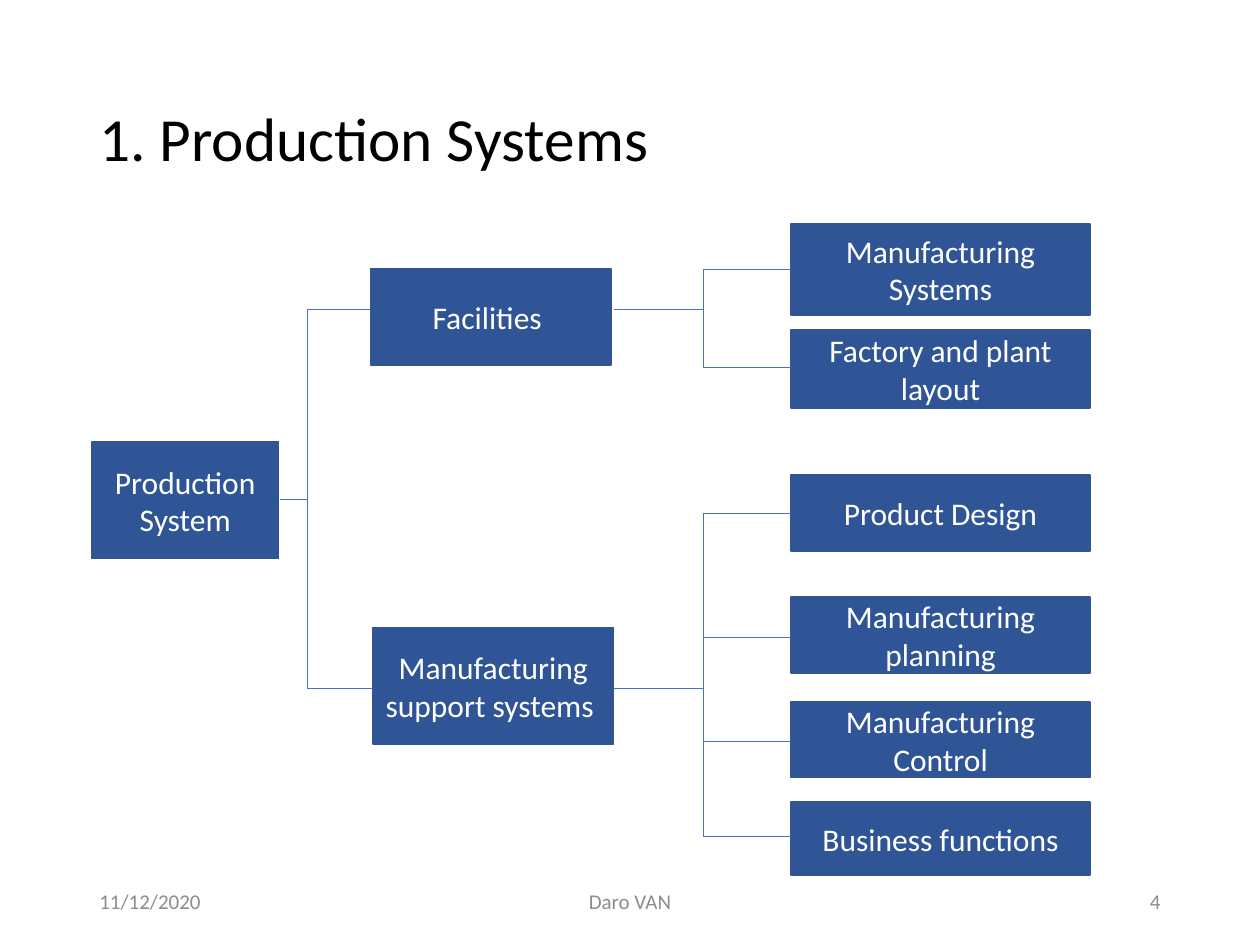
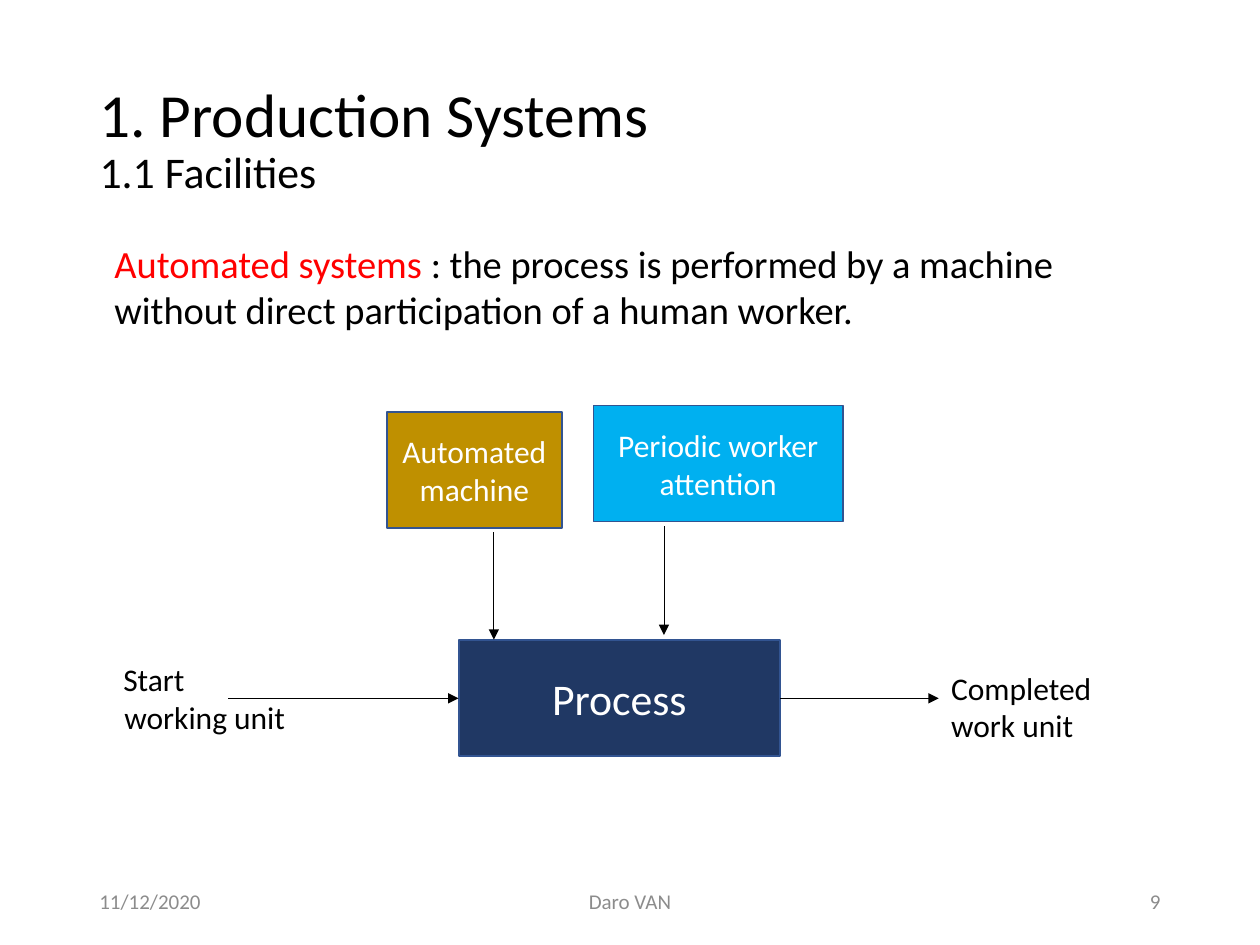
from lxml import etree
from pptx import Presentation
from pptx import util as u
from pptx.dml.color import RGBColor
from pptx.enum import shapes, text
from pptx.oxml.ns import qn

BLACK = RGBColor(0, 0, 0)
WHITE = RGBColor(255, 255, 255)
GREY = RGBColor(0x8C, 0x8C, 0x8C)
RED = RGBColor(255, 0, 0)
BLUE = RGBColor(0x2F, 0x55, 0x97)
NAVY = RGBColor(0x20, 0x38, 0x64)
GOLD = RGBColor(0xBF, 0x90, 0)
SKY = RGBColor(0, 0xB0, 0xF0)
EDGE = RGBColor(0x32, 0x54, 0x91)
BRANCH = RGBColor(0x44, 0x72, 0xC4)
LEFT, CENTER, RIGHT = (text.PP_ALIGN.LEFT, text.PP_ALIGN.CENTER, text.PP_ALIGN.RIGHT)
TOP, MIDDLE = text.MSO_ANCHOR.TOP, text.MSO_ANCHOR.MIDDLE

prs = Presentation()
prs.slide_width, prs.slide_height = u.Inches(10), u.Inches(7.5)
COL, ROW = prs.slide_width / 100, prs.slide_height / 100


def put(s, at, paras, sp=None, fill=None, size=18, color=BLACK,
        align=LEFT, anchor=TOP, wrap=True, spacing=None):
    x, y, w, h = int(at[0] * COL), int(at[1] * ROW), int(at[2] * COL), int(at[3] * ROW)
    if fill is not None:
        sp = s.shapes.add_shape(shapes.MSO_SHAPE.RECTANGLE, x, y, w, h)
        sp.shadow.inherit = False
        sp.fill.solid()
        sp.fill.fore_color.rgb = fill
        sp.line.color.rgb = EDGE
        sp.line.width = u.Pt(1)
        color, align, anchor = WHITE, CENTER, MIDDLE
    elif sp is None:
        sp = s.shapes.add_textbox(x, y, w, h)
    sp.left, sp.top, sp.width, sp.height = x, y, w, h
    tf = sp.text_frame
    tf.auto_size = text.MSO_AUTO_SIZE.NONE
    tf.word_wrap = wrap
    tf.vertical_anchor = anchor
    for i, runs in enumerate([paras] if isinstance(paras, str) else paras):
        p = tf.add_paragraph() if i else tf.paragraphs[0]
        p.alignment = align
        p.line_spacing = spacing
        for words, *style in [(runs,)] if isinstance(runs, str) else runs:
            r = p.add_run()
            r.text = words
            r.font.name = "Calibri"
            r.font.size = u.Pt(style[0] if style else size)
            r.font.color.rgb = style[1] if style[1:] else color
    return tf


def link(s, x1, y1, x2, y2, color=BRANCH, arrow=False):
    cx = s.shapes.add_connector(shapes.MSO_CONNECTOR.STRAIGHT, int(x1 * COL),
                                int(y1 * ROW), int(x2 * COL), int(y2 * ROW))
    cx.line.color.rgb = color
    cx.line.width = u.Pt(0.5)
    if arrow:
        etree.SubElement(cx.line._get_or_add_ln(), qn("a:tailEnd"), type="triangle")
    etree.SubElement(cx._element.spPr, qn("a:effectLst"))


slides = []
for number, title in (
    ("4", ["1. Production Systems"]),
    ("9", ["1. Production Systems", [("1.1 Facilities", 25)]]),
):
    s = prs.slides.add_slide(prs.slide_layouts[5])
    put(s, (6.9, 5.3, 86.2, 19.3), title, sp=s.shapes.title, size=35,
        anchor=MIDDLE, spacing=0.9)
    for x, w, words, align in ((6.9, 22.5, "11/12/2020", LEFT),
                               (33.1, 33.8, "Daro VAN", CENTER),
                               (70.6, 22.5, number, RIGHT)):
        put(s, (x, 92.7, w, 5.3), words, size=12, color=GREY, align=align, anchor=MIDDLE)
    slides.append(s)
tree, process = slides

put(tree, (7.3, 46.8, 14.8, 12.3), "Production System", fill=BLUE)
TRUNK, FORK, LEAF = 24.4, 55.8, 62.8
link(tree, 22.2, 52.9, TRUNK, 52.9)
link(tree, TRUNK, 32.7, TRUNK, 72.9)

branches = (
    ("Facilities ", 29.4, 28.5, 10.1, 32.7, (
        ("Manufacturing Systems", 23.7, 9.6, 28.5),
        ("Factory and plant layout", 34.9, 8.3, 38.9))),
    ("Manufacturing support systems ", 29.6, 66.4, 12.3, 72.9, (
        ("Product Design", 50.3, 8, 54.3),
        ("Manufacturing planning", 63.2, 8, 67.5),
        ("Manufacturing Control", 74.3, 8, 78.5),
        ("Business functions", 84.9, 7.7, 88.5))),
)
for name, x, y, h, joint, leaves in branches:
    put(tree, (x, y, 19.1, h), name, fill=BLUE)
    link(tree, TRUNK, joint, x, joint)
    link(tree, 48.7, joint, FORK, joint)
    link(tree, FORK, leaves[0][-1], FORK, leaves[-1][-1])
    for leaf, top, height, level in leaves:
        put(tree, (LEAF, top, 23.7, height), leaf, fill=BLUE)
        link(tree, FORK, level, LEAF, level)

put(process, (8.1, 24.7, 85, 11.2), [[
    ("Automated systems ", 22, RED),
    (": the process is performed by a machine without direct participation of a human worker.",),
]], size=22)
for words, x, y, w, fill, size in (
    ("Process", 36.4, 67.7, 25.5, NAVY, 25),
    ("Automated machine", 30.7, 43.6, 13.9, GOLD, 18),
    ("Periodic worker attention", 47.1, 42.9, 19.8, SKY, 18),
):
    put(process, (x, y, w, 12.3), words, fill=fill, size=size)
for ends in ((39.2, 56.3, 39.2, 67.7), (52.7, 55.7, 52.7, 67.2),
             (18.1, 73.9, 36.4, 73.9), (61.9, 73.9, 74.5, 73.9)):
    link(process, *ends, color=BLACK, arrow=True)
tf = put(process, (8.8, 69.2, 14.9, 9.5), ["Start", "working unit"], wrap=False)
tf.paragraphs[1].alignment = CENTER
put(process, (74.5, 70.1, 13.9, 9.5), ["Completed", "work unit"], wrap=False)

prs.save("out.pptx")
